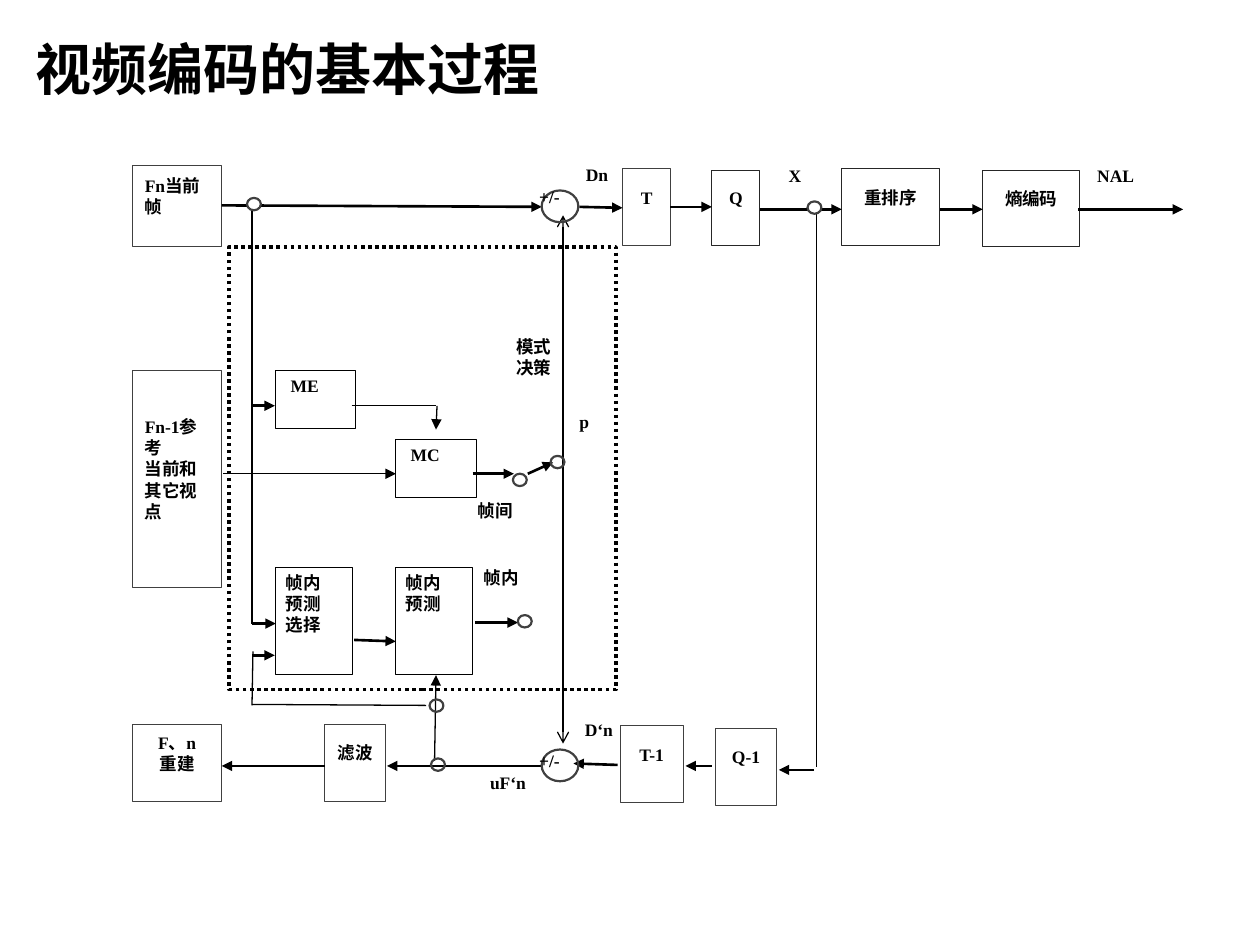
import pptx
import pptx.dml.color
import pptx.enum.dml
import pptx.enum.shapes
import pptx.enum.text
import pptx.oxml
import pptx.util
from dataclasses import dataclass

Cm = pptx.util.Cm
Pt = pptx.util.Pt
SHAPE = pptx.enum.shapes.MSO_SHAPE
ALIGN = pptx.enum.text.PP_ALIGN
ANCHOR = pptx.enum.text.MSO_ANCHOR


@dataclass(frozen=True)
class Theme:
    font: str = "Times New Roman"
    ink: str = "000000"
    dark: str = "262626"
    grey: str = "404040"
    paper: str = "FFFFFF"
    title_size: float = 32
    text_size: float = 10
    box_line: float = 0.5
    thin: float = 0.75
    node_line: float = 1.25
    thick: float = 1.5
    frame_line: float = 2


THEME = Theme()

# Insets: left, top, right, bottom; stage text sits above the middle
STAGE = (0, 0, 0, 0.4)
FRAME_STORE = (0.25, 0.13, 0.25, 0.53)
INTRA = (0.2, 0.1, 0.2, 0.1)
MOTION = (0.3, 0.1, 0.3, 0.1)


def rgb(value):
    return pptx.dml.color.RGBColor.from_string(value)


def write(frame, text, size, align=ALIGN.LEFT, insets=(0, 0, 0, 0),
          anchor=ANCHOR.TOP, wrap=True):
    frame.word_wrap = wrap
    frame.auto_size = pptx.enum.text.MSO_AUTO_SIZE.NONE
    frame.vertical_anchor = anchor
    (frame.margin_left, frame.margin_top,
     frame.margin_right, frame.margin_bottom) = map(Cm, insets)
    frame.text = text
    for paragraph in frame.paragraphs:
        paragraph.alignment = align
        paragraph.font.name = THEME.font
        paragraph.font.size = Pt(size)
        paragraph.font.bold = True
        paragraph.font.color.rgb = rgb(THEME.ink)


def add_outline(slide, kind, at, color, width, fill=None):
    outline = slide.shapes.add_shape(kind, *map(Cm, at))
    outline.shadow.inherit = False
    if fill:
        outline.fill.solid()
        outline.fill.fore_color.rgb = rgb(fill)
    else:
        outline.fill.background()
    outline.line.color.rgb = rgb(color)
    outline.line.width = Pt(width)
    return outline


def add_block(slide, text, at, color, insets, align, anchor):
    block = add_outline(slide, SHAPE.RECTANGLE, at, color, THEME.box_line)
    write(block.text_frame, text, THEME.text_size, align, insets, anchor)


def add_label(slide, text, at, wrap=False):
    label = slide.shapes.add_textbox(*map(Cm, at))
    write(label.text_frame, text, THEME.text_size, wrap=wrap)


def add_wire(slide, ends, width, head=None, tail=None):
    wire = slide.shapes.add_connector(
        pptx.enum.shapes.MSO_CONNECTOR.STRAIGHT, *map(Cm, ends))
    wire.line.color.rgb = rgb(THEME.ink)
    wire.line.width = Pt(width)
    line = wire.line._get_or_add_ln()
    for tag, arrow in (("headEnd", head), ("tailEnd", tail)):
        if arrow:
            line.append(pptx.oxml.parse_xml(
                '<a:%s xmlns:a="http://schemas.openxmlformats.org/'
                'drawingml/2006/main" type="%s"/>' % (tag, arrow)))
    wire._element.spPr.append(pptx.oxml.parse_xml(
        '<a:effectLst xmlns:a="http://schemas.openxmlformats.org/'
        'drawingml/2006/main"/>'))


def add_title(slide, text):
    title = slide.shapes.title
    title.left, title.top, title.width, title.height = map(
        Cm, (0.46, 0.2, 16.69, 2.34))
    write(title.text_frame, text, THEME.title_size,
          insets=(0.25, 0.13, 0.25, 0.13), anchor=ANCHOR.MIDDLE)


def add_blocks(slide):
    # Forward row, then reconstruction row
    for text, at, color in (
            ("T", (12.55, 3.4, 0.97, 1.55), THEME.grey),
            ("Q", (14.35, 3.43, 0.97, 1.52), THEME.dark),
            ("重排序", (16.97, 3.4, 1.96, 1.55), THEME.dark),
            ("熵编码", (19.81, 3.43, 1.96, 1.55), THEME.dark),
            ("F、n\n重建", (2.67, 14.6, 1.8, 1.55), THEME.grey),
            ("滤波", (6.55, 14.6, 1.22, 1.55), THEME.grey),
            ("T-1", (12.5, 14.63, 1.27, 1.55), THEME.grey),
            ("Q-1", (14.43, 14.68, 1.22, 1.55), THEME.grey)):
        add_block(slide, text, at, color, STAGE, ALIGN.CENTER, ANCHOR.MIDDLE)

    # Current and reference frames
    for text, at in (
            ("Fn当前帧", (2.67, 3.33, 1.8, 1.63)),
            ("Fn-1参考\n当前和其它视点", (2.67, 7.47, 1.8, 4.37))):
        add_block(slide, text, at, THEME.grey, FRAME_STORE,
                  ALIGN.LEFT, ANCHOR.MIDDLE)

    # Prediction blocks
    for text, at, insets in (
            ("ME", (5.56, 7.47, 1.6, 1.17), MOTION),
            ("MC", (7.98, 8.86, 1.63, 1.17), MOTION),
            ("帧内\n预测\n选择", (5.56, 11.43, 1.55, 2.16), INTRA),
            ("帧内\n预测", (7.98, 11.43, 1.55, 2.16), INTRA)):
        add_block(slide, text, at, THEME.ink, insets, ALIGN.LEFT, ANCHOR.TOP)


def add_wires(slide):
    # Main signal flow
    for ends in (
            (4.47, 4.14, 10.92, 4.17), (11.68, 4.17, 12.55, 4.19),
            (13.51, 4.17, 14.35, 4.17), (15.32, 4.22, 16.97, 4.22),
            (18.95, 4.22, 19.81, 4.22), (21.74, 4.22, 23.85, 4.22),
            (16.41, 15.52, 15.7, 15.52), (14.35, 15.44, 13.82, 15.44),
            (12.45, 15.42, 11.56, 15.39), (10.92, 15.44, 7.8, 15.44),
            (6.55, 15.44, 4.47, 15.44),
            # Prediction inputs and outputs
            (5.08, 8.18, 5.54, 8.18), (5.08, 12.57, 5.56, 12.57),
            (5.08, 13.21, 5.54, 13.21), (7.14, 12.9, 7.98, 12.93),
            (9.53, 9.55, 10.36, 9.55), (9.58, 12.55, 10.44, 12.55),
            (10.64, 9.55, 11.15, 9.32)):
        add_wire(slide, ends, THEME.thick, tail="triangle")

    # Thin branches, plain and with arrowheads
    for ends in ((5.08, 4.24, 5.08, 12.57), (16.46, 4.32, 16.46, 15.47),
                 (8.59, 14.22, 5.08, 14.2), (5.08, 14.22, 5.1, 13.13),
                 (7.09, 8.18, 8.79, 8.18)):
        add_wire(slide, ends, THEME.thin)
    for ends in ((8.76, 15.34, 8.79, 13.61), (4.5, 9.55, 7.98, 9.55),
                 (8.81, 8.18, 8.79, 8.66)):
        add_wire(slide, ends, THEME.thin, tail="triangle")
    add_wire(slide, (11.35, 4.34, 11.35, 14.99), THEME.thin, "arrow", "arrow")


def add_nodes(slide):
    # Adders
    for top in (3.84, 15.11):
        add_outline(slide, SHAPE.FLOWCHART_CONNECTOR,
                    (10.92, top, 0.74, 0.64), THEME.grey, THEME.node_line)
    # Branch points and switch contacts
    for left, top, fill in (
            (16.28, 4.06, THEME.paper), (4.98, 3.99, THEME.paper),
            (11.1, 9.19, None), (8.69, 15.29, None), (8.66, 14.1, None),
            (10.34, 9.55, None), (10.44, 12.4, None)):
        add_outline(slide, SHAPE.FLOWCHART_CONNECTOR,
                    (left, top, 0.28, 0.25), THEME.grey, THEME.node_line, fill)


def add_labels(slide):
    for text, at in (
            ("Dn", (11.81, 3.3, 0.51, 0.79)), ("X", (15.9, 3.33, 0.33, 0.79)),
            ("NAL", (22.12, 3.33, 0.94, 0.64)),
            ("模式\n决策", (10.41, 6.78, 0.94, 1.35)),
            ("p", (11.68, 8.28, 0.28, 1.07)),
            ("帧间", (9.63, 10.08, 0.94, 1.02)),
            ("帧内", (9.75, 11.43, 0.94, 0.79)),
            ("D‘n", (11.79, 14.5, 0.61, 0.79)),
            ("uF‘n", (9.88, 15.57, 1.04, 0.94))):
        add_label(slide, text, at)
    for top in (3.76, 15.11):
        add_label(slide, "+/-", (10.87, top, 1.4, 0.94), wrap=True)


def main():
    deck = pptx.Presentation()
    deck.slide_width, deck.slide_height = Cm(25.4), Cm(19.05)
    slide = deck.slides.add_slide(deck.slide_layouts[5])
    add_title(slide, "视频编码的基本过程")

    # Prediction area
    prediction_area = add_outline(slide, SHAPE.RECTANGLE,
                                  (4.62, 4.98, 7.8, 8.92),
                                  THEME.ink, THEME.frame_line)
    prediction_area.line.dash_style = pptx.enum.dml.MSO_LINE.ROUND_DOT

    add_blocks(slide)
    add_wires(slide)
    add_nodes(slide)
    add_labels(slide)
    deck.save("out.pptx")


if __name__ == "__main__":
    main()
